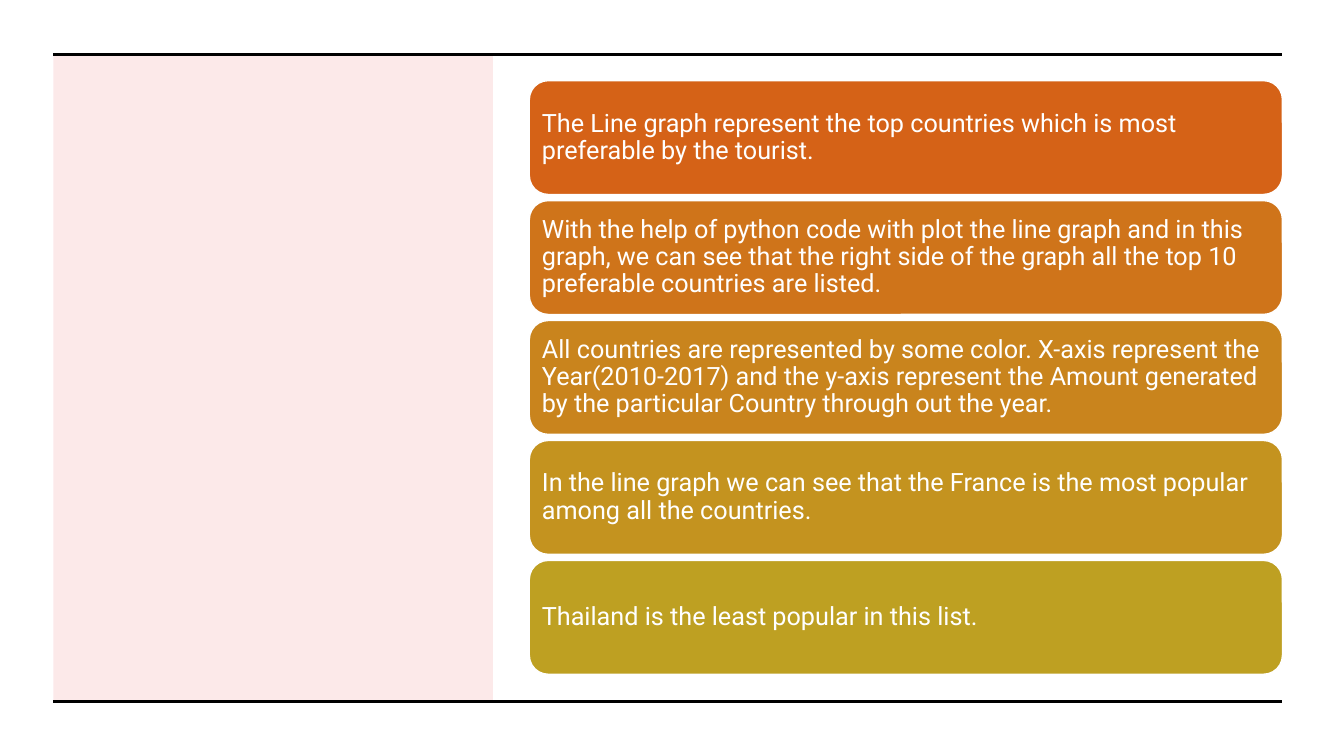
"""Builds a slide with a tinted side panel, two rules and a stack of text cards."""
from dataclasses import dataclass

from lxml.etree import SubElement
from pptx import Presentation
from pptx.dml.color import RGBColor
from pptx.enum.shapes import MSO_CONNECTOR, MSO_SHAPE
from pptx.enum.text import MSO_ANCHOR, PP_ALIGN
from pptx.oxml.ns import qn
from pptx.slide import Slide
from pptx.util import Emu, Pt


@dataclass(frozen=True)
class Theme:
    """Colours, type and line sizes of the slide."""
    panel: str = "E7292E"
    alpha: int = 10
    rule: str = "000000"
    white: str = "FFFFFF"
    font: str = "Roboto"
    size: float = 18
    thick: float = 2.25
    thin: float = 1


@dataclass(frozen=True)
class Card:
    """A text card and its fill colour."""
    fill: str
    text: str


THEME = Theme()
LEFT, RIGHT, TOP, BASE = 53, 1272, 54, 696
PANEL_W = 436
CARD_X, CARD_Y, CARD_H, PITCH = 525, 80, 113, 119
INSET = 7

CARDS = (
    Card("D56217", "The Line graph represent the top countries which is most "
         "preferable by the tourist."),
    Card("CF741A", "With the help of python code with plot the line graph and in this "
         "graph, we can see that the right side of the graph all the top 10 "
         "preferable countries are listed."),
    Card("C9841D", "All countries are represented by some color. X-axis represent the "
         "Year(2010-2017) and the y-axis represent the Amount generated "
         "by the particular Country through out the year."),
    Card("C4931F", "In the line graph we can see that the France is the most popular "
         "among all the countries."),
    Card("BEA022", "Thailand is the least popular in this list."),
)


def px(n: int) -> Emu:
    """Turn px, 100 to the inch, into EMU."""
    return Emu(n * 9144)


def rgb(code: str) -> RGBColor:
    """Turn a hex code into a colour."""
    return RGBColor.from_string(code)


def draw_panel(slide: Slide) -> None:
    """Draw the see-through panel on the left."""
    panel = slide.shapes.add_shape(
        MSO_SHAPE.RECTANGLE, px(LEFT), px(TOP), px(PANEL_W), px(BASE - TOP))
    panel.shadow.inherit = False
    panel.line.fill.background()
    panel.fill.solid()
    panel.fill.fore_color.rgb = rgb(THEME.panel)
    tint = panel.fill._xPr.find(f".//{qn('a:srgbClr')}")
    SubElement(tint, qn("a:alpha"), val=str(THEME.alpha * 1000))


def draw_rule(slide: Slide, y: int) -> None:
    """Draw a rule across the slide at height y."""
    rule = slide.shapes.add_connector(
        MSO_CONNECTOR.STRAIGHT, px(LEFT), px(y), px(RIGHT), px(y))
    rule.line.color.rgb = rgb(THEME.rule)
    rule.line.width = Pt(THEME.thick)
    SubElement(rule._element.spPr, qn("a:effectLst"))


def draw_card(slide: Slide, card: Card, y: int) -> None:
    """Draw a rounded card with its text at height y."""
    box = slide.shapes.add_shape(
        MSO_SHAPE.ROUNDED_RECTANGLE, px(CARD_X), px(y), px(RIGHT - CARD_X), px(CARD_H))
    box.shadow.inherit = False
    box.fill.solid()
    box.fill.fore_color.rgb = rgb(card.fill)
    box.line.color.rgb = rgb(THEME.white)
    box.line.width = Pt(THEME.thin)
    frame = box.text_frame
    frame.word_wrap = True
    frame.vertical_anchor = MSO_ANCHOR.MIDDLE
    frame.margin_left = frame.margin_right = px(INSET)
    frame.margin_top = frame.margin_bottom = px(INSET)
    para = frame.paragraphs[0]
    para.text = card.text
    para.alignment = PP_ALIGN.LEFT
    para.line_spacing = 0.9
    para.font.name = THEME.font
    para.font.size = Pt(THEME.size)
    para.font.color.rgb = rgb(THEME.white)


def main() -> None:
    """Build the slide and save it."""
    deck = Presentation()
    deck.slide_width, deck.slide_height = px(1333), px(750)
    slide = deck.slides.add_slide(deck.slide_layouts[6])
    draw_panel(slide)
    for y in (TOP, BASE):
        draw_rule(slide, y)
    for i, card in enumerate(CARDS):
        draw_card(slide, card, CARD_Y + i * PITCH)
    deck.save("out.pptx")


if __name__ == "__main__":
    main()
